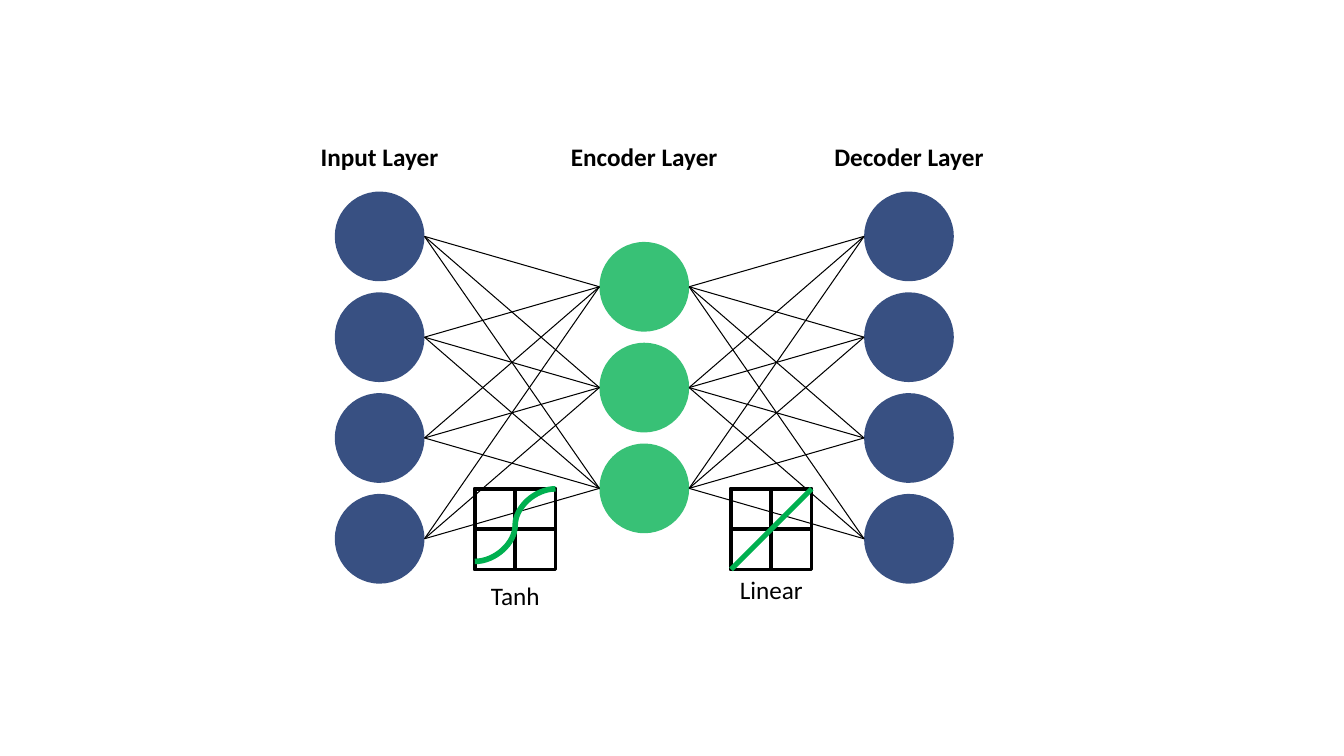
from collections import namedtuple
from dataclasses import dataclass
from itertools import pairwise, product

from lxml import etree
from pptx import Presentation
from pptx import util as u
from pptx.dml.color import RGBColor
from pptx.enum import shapes, text
from pptx.oxml import ns

Box = namedtuple("Box", "left top width height")
Layer = namedtuple("Layer", "title title_width nodes color")


@dataclass(frozen=True)
class Theme:
    font: str = "Calibri"
    text_size: float = 18
    ink: str = "000000"
    outer_node: str = "002060"
    accent: str = "00B050"
    node_opacity: int = 78
    link_width: float = 0.75
    frame_width: float = 2.5


THEME = Theme()
NODE = 0.89
PITCH = 1.0
LABEL_HEIGHT = 0.4

LAYERS = [
    Layer("Input Layer", 1.38, 4, THEME.outer_node),
    Layer("Encoder Layer", 1.67, 3, THEME.accent),
    Layer("Decoder Layer", 1.69, 4, THEME.outer_node),
]


def add_label(parent, wording, center, top, width, bold=False):
    label = parent.add_textbox(*map(u.Inches, (center - width / 2, top, width, LABEL_HEIGHT)))
    frame = label.text_frame
    frame.word_wrap = False
    frame.auto_size = text.MSO_AUTO_SIZE.SHAPE_TO_FIT_TEXT
    frame.text = wording
    para = frame.paragraphs[0]
    para.alignment = text.PP_ALIGN.CENTER
    font = para.runs[0].font
    font.name, font.size, font.bold = THEME.font, u.Pt(THEME.text_size), bold
    font.color.rgb = RGBColor.from_string(THEME.ink)


def add_line(parent, start, end, color, width, kind=shapes.MSO_CONNECTOR.STRAIGHT):
    line = parent.add_connector(kind, *map(u.Inches, (*start, *end)))
    line.line.color.rgb = RGBColor.from_string(color)
    line.line.width = u.Pt(width)
    etree.SubElement(line._element.spPr, ns.qn("a:effectLst"))


def add_node(parent, center, middle, color):
    node = parent.add_shape(
        shapes.MSO_SHAPE.OVAL,
        *map(u.Inches, (center - NODE / 2, middle - NODE / 2, NODE, NODE)))
    node.shadow.inherit = False
    node.fill.solid()
    node.fill.fore_color.rgb = RGBColor.from_string(color)
    tint = node._element.spPr.find(".//" + ns.qn("a:srgbClr"))
    etree.SubElement(tint, ns.qn("a:alpha"), val=str(THEME.node_opacity * 1000))
    node.line.fill.background()


def add_frame(parent, box):
    frame = parent.add_shape(shapes.MSO_SHAPE.RECTANGLE, *map(u.Inches, box))
    frame.shadow.inherit = False
    frame.fill.background()
    frame.line.color.rgb = RGBColor.from_string(THEME.ink)
    frame.line.width = u.Pt(THEME.frame_width)


def add_network(page, box, layers):
    """Spread the layers over the box as centred columns and link neighbours fully."""
    group = page.shapes.add_group_shape().shapes
    step = (box.width - NODE) / (len(layers) - 1)
    columns = []
    for column, layer in enumerate(layers):
        center = box.left + NODE / 2 + column * step
        first = box.top + box.height / 2 - (layer.nodes - 1) * PITCH / 2
        columns.append([(center, first + row * PITCH) for row in range(layer.nodes)])
        for node in columns[-1]:
            add_node(group, *node, layer.color)
    for sources, targets in pairwise(columns):
        for (x1, y1), (x2, y2) in product(sources, targets):
            add_line(group, (x1 + NODE / 2, y1), (x2 - NODE / 2, y2),
                     THEME.ink, THEME.link_width)
    for layer, nodes in zip(layers, columns):
        add_label(page.shapes, layer.title, nodes[0][0], box.top - 0.55,
                  layer.title_width, bold=True)


def add_activation(page, box, caption, caption_width, caption_gap, kind, rise, width):
    """Draw a quartered frame with its curve; rise is the curve's share of the height."""
    group = page.shapes.add_group_shape().shapes
    add_frame(group, box)
    add_frame(group, box._replace(width=box.width / 2))
    add_label(group, caption, box.left + box.width / 2,
              box.top + box.height + caption_gap, caption_width)
    add_frame(group, box._replace(height=box.height / 2))
    add_line(group, (box.left, box.top + rise * box.height),
             (box.left + box.width, box.top), THEME.accent, width, kind)


def main():
    deck = Presentation()
    deck.slide_width, deck.slide_height = u.Inches(13.33), u.Inches(7.5)
    page = deck.slides.add_slide(deck.slide_layouts[6])
    add_network(page, Box(3.32, 1.9, 6.14, 3.89), LAYERS)
    add_activation(page, Box(7.25, 4.85, 0.8, 0.8), "Linear", 0.83, 0,
                   shapes.MSO_CONNECTOR.STRAIGHT, rise=1, width=3.75)
    add_activation(page, Box(4.71, 4.85, 0.8, 0.8), "Tanh", 0.69, 0.06,
                   shapes.MSO_CONNECTOR.CURVE, rise=0.9, width=4)
    deck.save("out.pptx")


if __name__ == "__main__":
    main()
